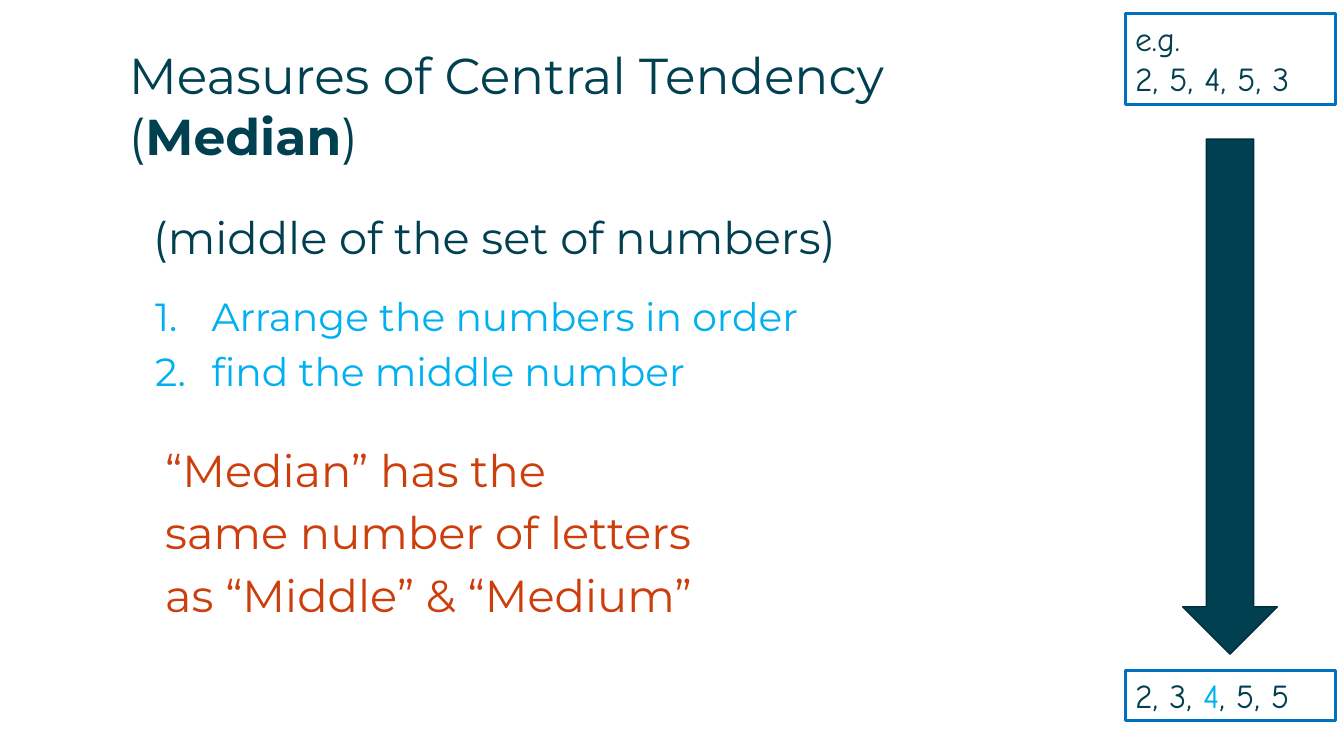
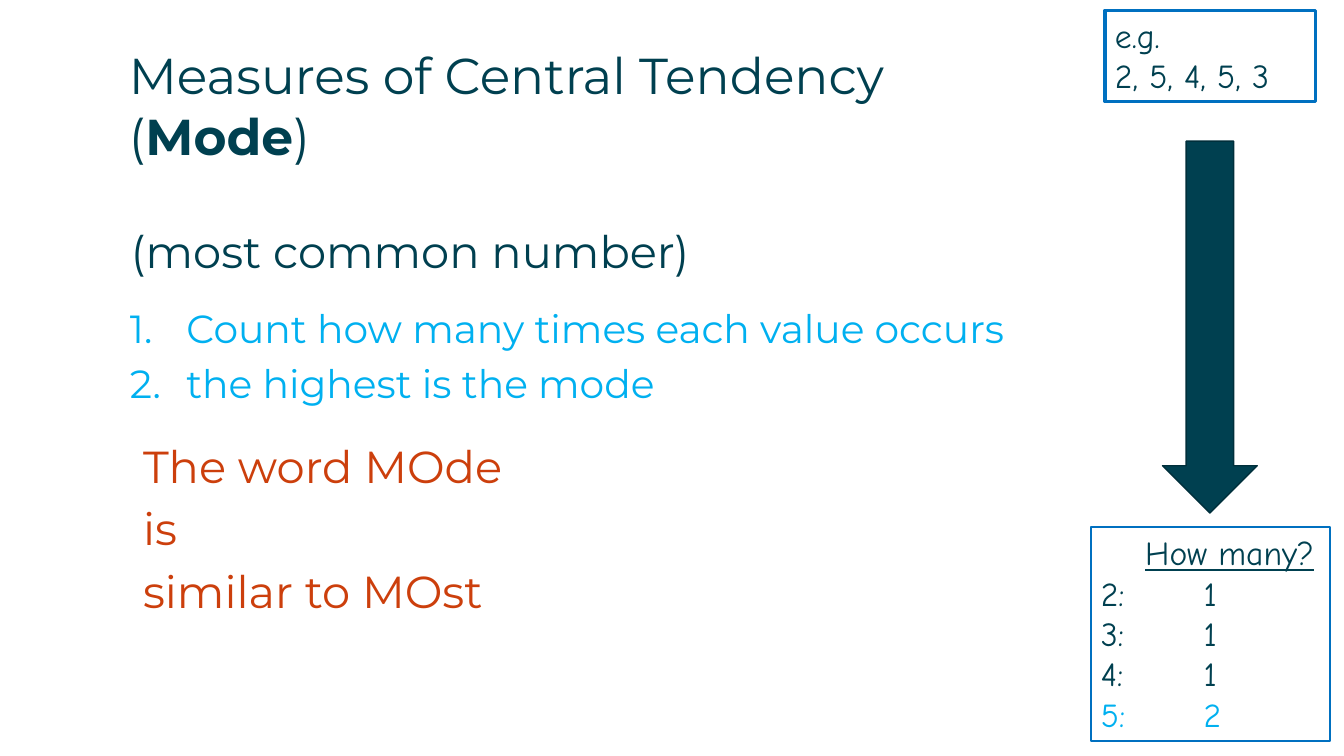
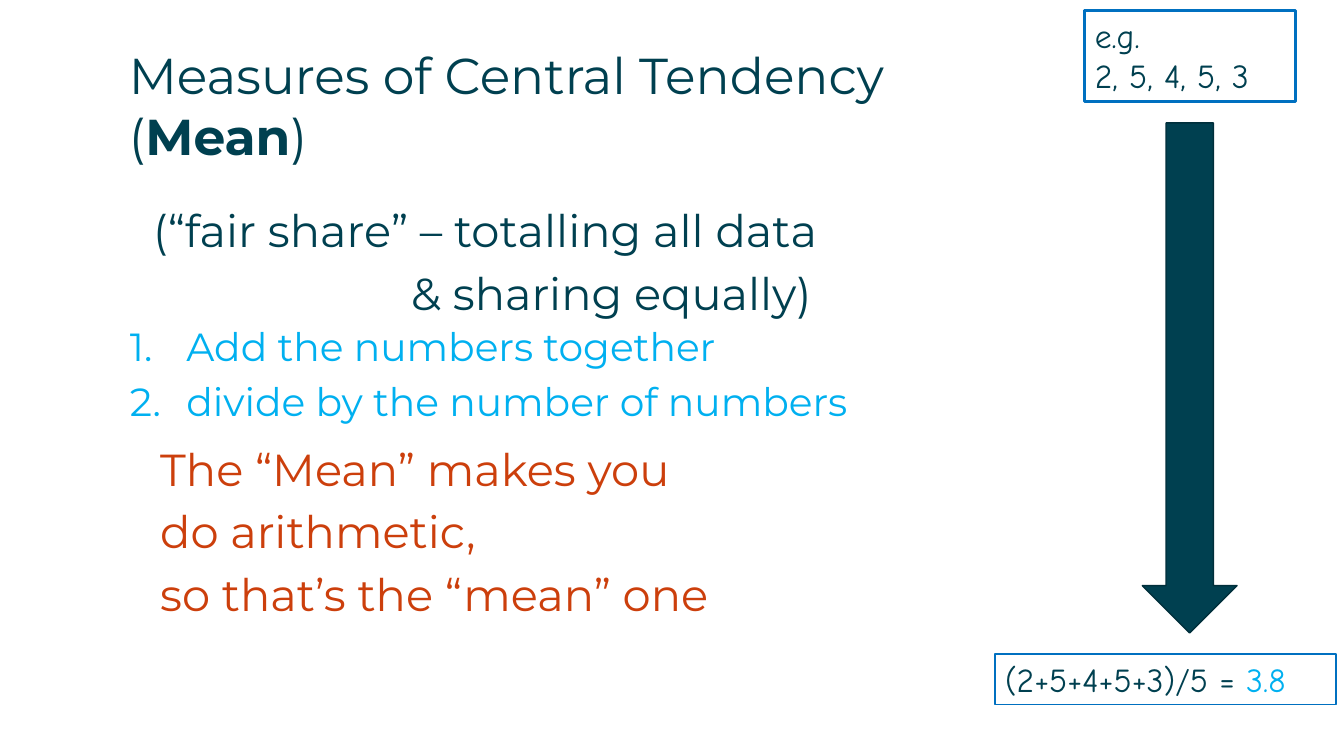
from dataclasses import dataclass

from lxml import etree
from pptx import Presentation
from pptx.dml.color import RGBColor
from pptx.enum.shapes import MSO_SHAPE
from pptx.oxml.ns import qn
from pptx.util import Pt

PX = 9144  # EMU per px, 100 px to the inch
DOWN_ARROW = MSO_SHAPE.DOWN_ARROW


@dataclass(frozen=True)
class TextStyle:
    font: str
    size: int
    color: RGBColor
    gap: float = 0  # space between paragraphs, as a share of the size


class Theme:
    ink = RGBColor.from_string("004050")
    edge = RGBColor.from_string("002F3B")
    frame = RGBColor.from_string("0070C0")
    accent = RGBColor.from_string("00B0F0")
    rust = RGBColor.from_string("CC3F0C")
    title = TextStyle("Montserrat", 36, ink)
    meaning = TextStyle("Montserrat", 32, ink, 0.2)
    mnemonic = TextStyle("Montserrat", 32, rust, 0.2)
    steps = TextStyle("Montserrat", 28, accent, 0.2)
    working = TextStyle("Comic Neue", 24, ink)


SAMPLE_W, SAMPLE_H = 209, 91
ARROW_W = 94


def px(*lengths):
    return [n * PX for n in lengths]


def add_text(s, box, lines, style):
    """Add a text box; a line is a string or a list of run strings."""
    sp = s.shapes.add_textbox(*px(*box))
    tf = sp.text_frame
    tf.word_wrap = True
    for i, line in enumerate(lines):
        p = tf.paragraphs[0] if i == 0 else tf.add_paragraph()
        p.font.name = style.font
        p.font.size = Pt(style.size)
        p.font.color.rgb = style.color
        if i and style.gap:
            p.space_before = Pt(style.size * style.gap)
        for text in [line] if isinstance(line, str) else line:
            p.add_run().text = text
    return sp


def indent(p, left, first=0):
    pPr = p._p.get_or_add_pPr()
    pPr.set("marL", str(left * PX))
    pPr.set("indent", str(first * PX))
    return pPr


def number(p):
    pPr = indent(p, 106, -56)
    bullet = etree.Element(qn("a:buAutoNum"), type="arabicPeriod")
    pPr.find(qn("a:defRPr")).addprevious(bullet)


def add_tab_stop(p, pos):
    tabs = etree.Element(qn("a:tabLst"))
    etree.SubElement(tabs, qn("a:tab"), pos=str(pos * PX), algn="l")
    p._p.get_or_add_pPr().find(qn("a:defRPr")).addprevious(tabs)


def add_title(s, measure):
    lines = [["Measures of Central Tendency (", measure, ")"]]
    sp = add_text(s, (118, 39, 880, 131), lines, Theme.title)
    sp.text_frame.paragraphs[0].runs[1].font.bold = True


def add_meaning(s, left, top, lines):
    sp = add_text(s, (left, top, 764, 4 + 58 * len(lines)), lines,
                  Theme.meaning)
    for p in sp.text_frame.paragraphs[1:]:
        indent(p, 256)


def add_steps(s, left, top, lines):
    sp = add_text(s, (left, top, 960, 118), lines, Theme.steps)
    for p in sp.text_frame.paragraphs:
        number(p)


def add_mnemonic(s, left, top, lines):
    sp = add_text(s, (left, top, 745, 181), lines, Theme.mnemonic)
    for p in sp.text_frame.paragraphs:
        indent(p, 12)


def add_framed(s, box, lines, weight):
    sp = add_text(s, box, lines, Theme.working)
    sp.line.color.rgb = Theme.frame
    sp.line.width = Pt(weight)
    return sp.text_frame


def add_sample(s, left, top, arrow_top, arrow_h):
    """Add the sample data and the arrow centred below it."""
    add_framed(s, (left, top, SAMPLE_W, SAMPLE_H),
               ["e.g.", "2, 5, 4, 5, 3"], 2.25)
    arrow_left = left + (SAMPLE_W - ARROW_W) // 2
    arrow = s.shapes.add_shape(
        DOWN_ARROW, *px(arrow_left, arrow_top, ARROW_W, arrow_h))
    arrow.shadow.inherit = False
    arrow.fill.solid()
    arrow.fill.fore_color.rgb = Theme.ink
    arrow.line.color.rgb = Theme.edge
    arrow.line.width = Pt(1)


def add_result(s, box, runs, weight):
    """Add a one-line result whose second run is the answer."""
    tf = add_framed(s, box, [runs], weight)
    tf.paragraphs[0].runs[1].font.color.rgb = Theme.accent


def add_tally(s, box, counts):
    """Add the table of counts, with the most common value last."""
    rows = [f"{value}:\t{count}" for value, count in counts]
    head, *body = add_framed(s, box, ["How many?", *rows], 1).paragraphs
    indent(head, 44)
    head.font.underline = True
    for p in body:
        add_tab_stop(p, 102)
    body[-1].font.color.rgb = Theme.accent


def median_slide(s):
    add_title(s, "Median")
    add_meaning(s, 142, 203, ["(middle of the set of numbers)"])
    add_steps(s, 94, 285,
              ["Arrange the numbers in order", "find the middle number"])
    add_mnemonic(s, 142, 434, ["“Median” has the", "same number of letters",
                               "as “Middle” & “Medium”"])
    add_sample(s, 1116, 13, 138, 511)
    add_result(s, (1116, 665, 209, 50), ["2, 3, ", "4", ", 5, 5"], 2.25)


def mode_slide(s):
    add_title(s, "Mode")
    add_meaning(s, 120, 217, ["(most common number)"])
    add_steps(s, 69, 297, ["Count how many times each value occurs",
                           "the highest is the mode"])
    add_mnemonic(s, 120, 430, ["The word MOde", "is", "similar to MOst"])
    add_sample(s, 1096, 10, 140, 369)
    add_tally(s, (1082, 523, 237, 212), [(2, 1), (3, 1), (4, 1), (5, 2)])


def mean_slide(s):
    add_title(s, "Mean")
    add_meaning(s, 142, 196, ["(“fair share” – totalling all data",
                              "& sharing equally)"])
    add_steps(s, 69, 315, ["Add the numbers together",
                           "divide by the number of numbers"])
    add_mnemonic(s, 137, 433, ["The “Mean” makes you", "do arithmetic,",
                               "so that’s the “mean” one"])
    add_sample(s, 1076, 10, 122, 506)
    add_result(s, (987, 649, 338, 50), ["(2+5+4+5+3)/5 = ", "3.8"], 1)


def main():
    prs = Presentation()
    prs.slide_width, prs.slide_height = px(1333, 750)
    blank = prs.slide_layouts[6]
    for build in (median_slide, mode_slide, mean_slide):
        build(prs.slides.add_slide(blank))
    prs.save("out.pptx")


if __name__ == "__main__":
    main()
